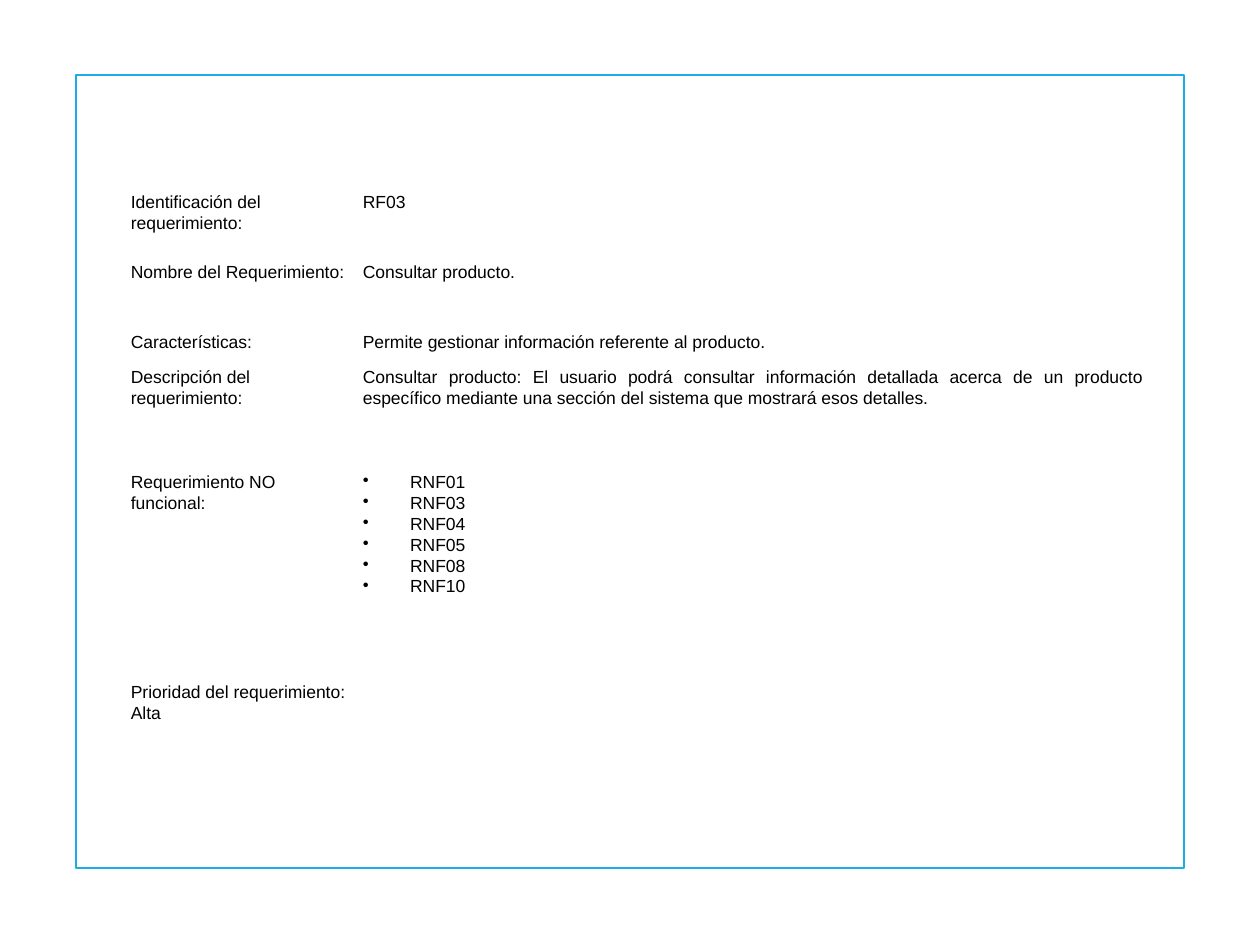
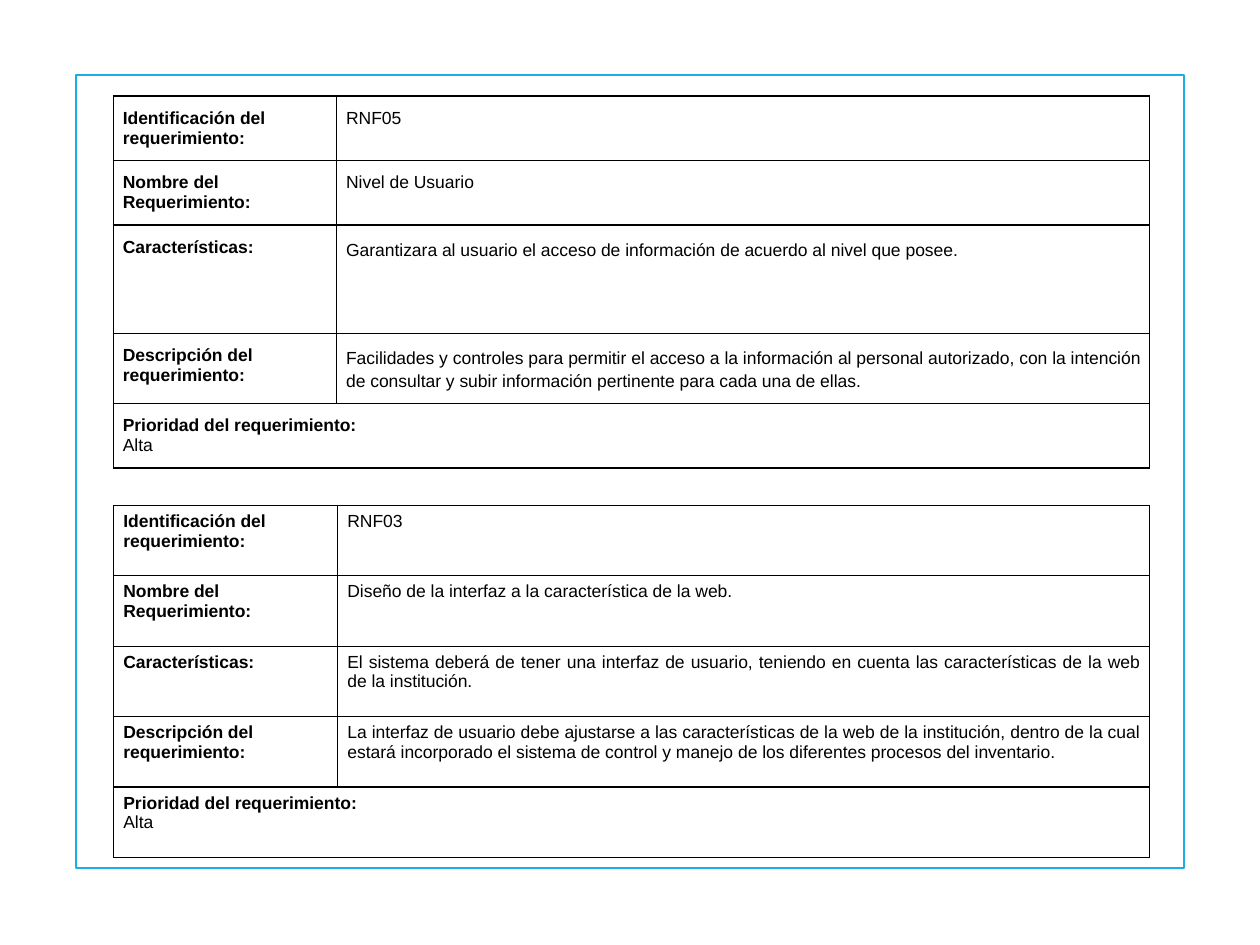
from dataclasses import dataclass

from lxml import etree
from pptx import Presentation
from pptx.dml.color import RGBColor
from pptx.enum.shapes import MSO_SHAPE
from pptx.enum.text import PP_ALIGN
from pptx.oxml.ns import qn
from pptx.util import Pt

RECTANGLE = MSO_SHAPE.RECTANGLE
LEFT, JUSTIFY = PP_ALIGN.LEFT, PP_ALIGN.JUSTIFY
BLANK_LAYOUT = 6


@dataclass(frozen=True)
class Theme:
    font: str = "Arial"
    size: float = 10
    text: str = "000000"
    background: str = "FFFFFF"
    frame: str = "1CADE4"
    frame_width: float = 1.25
    bullet_indent: float = 27


@dataclass(frozen=True)
class SheetStyle:
    """Look of a requirement sheet; lengths in points."""
    inset_x: float
    inset_y: float
    border: float = 0
    bold_labels: bool = True
    spacing: float = 1.0
    prose_spacing: float = 1.0


THEME = Theme()
PLAIN = SheetStyle(5.4, 0, bold_labels=False, spacing=1.07, prose_spacing=1.07)
ROOMY = SheetStyle(5.4, 7.2, border=1, prose_spacing=1.15)
COMPACT = SheetStyle(5.7, 3.6, border=0.75)

ID = "Identificación del requerimiento:"
NAME = "Nombre del Requerimiento:"
FEATURES = "Características:"
DESCRIPTION = "Descripción del requerimiento:"
NON_FUNCTIONAL = "Requerimiento NO funcional:"
PRIORITY = "Prioridad del requerimiento:"
PROSE_LABELS = (FEATURES, DESCRIPTION)


def add_bullet(p):
    pPr = p._p.get_or_add_pPr()
    indent = Pt(THEME.bullet_indent)
    pPr.set("marL", str(indent))
    pPr.set("indent", str(-indent))
    etree.SubElement(pPr, qn("a:buChar"), char="•")


def write(tf, text, bold=False, align=LEFT, spacing=1.0, bullet=False):
    """Write one paragraph, using the empty first one when it is free."""
    p = tf.paragraphs[0] if not tf.text else tf.add_paragraph()
    p.alignment = align
    p.line_spacing = spacing
    if bullet:
        add_bullet(p)
    r = p.add_run()
    r.text = text
    r.font.name = THEME.font
    r.font.size = Pt(THEME.size)
    r.font.bold = bold
    r.font.color.rgb = RGBColor.from_string(THEME.text)


def set_borders(cell, width):
    """Draw all four sides, or none when width is 0."""
    tcPr = cell._tc.get_or_add_tcPr()
    for side in ("lnL", "lnR", "lnT", "lnB"):
        ln = etree.SubElement(tcPr, qn(f"a:{side}"), w=str(Pt(width)))
        if width:
            fill = etree.SubElement(ln, qn("a:solidFill"))
            etree.SubElement(fill, qn("a:srgbClr"), val=THEME.text)
        else:
            etree.SubElement(ln, qn("a:noFill"))


def format_cell(cell, style):
    set_borders(cell, style.border)
    cell.fill.background()
    cell.margin_left = cell.margin_right = Pt(style.inset_x)
    cell.margin_top = cell.margin_bottom = Pt(style.inset_y)


def add_sheet(slide, left, top, col_widths, row_heights, fields, priority, style):
    """Add a table of label and value rows, closed by a merged priority row."""
    shape = slide.shapes.add_table(
        len(row_heights), len(col_widths), Pt(left), Pt(top),
        Pt(sum(col_widths)), Pt(sum(row_heights)))
    table = shape.table
    table.first_row = table.horz_banding = False
    for column, width in zip(table.columns, col_widths):
        column.width = Pt(width)
    for row, height in zip(table.rows, row_heights):
        row.height = Pt(height)
    for cell in table.iter_cells():
        format_cell(cell, style)

    for i, (label, value) in enumerate(fields):
        write(table.cell(i, 0).text_frame, label, bold=style.bold_labels,
              spacing=style.spacing)
        tf = table.cell(i, 1).text_frame
        if isinstance(value, list):
            for item in value:
                write(tf, item, spacing=style.spacing, bullet=True)
        elif label in PROSE_LABELS:
            write(tf, value, align=JUSTIFY, spacing=style.prose_spacing)
        else:
            write(tf, value, spacing=style.spacing)

    last = len(fields)
    table.cell(last, 0).merge(table.cell(last, 1))
    tf = table.cell(last, 0).text_frame
    write(tf, PRIORITY, bold=style.bold_labels, spacing=style.spacing)
    write(tf, priority, spacing=style.spacing)


def add_framed_slide(prs):
    slide = prs.slides.add_slide(prs.slide_layouts[BLANK_LAYOUT])
    fill = slide.background.fill
    fill.solid()
    fill.fore_color.rgb = RGBColor.from_string(THEME.background)
    sp = slide.shapes.add_shape(RECTANGLE, Pt(43.6), Pt(42.8), Pt(633), Pt(453.2))
    sp.shadow.inherit = False
    sp.fill.background()
    sp.line.color.rgb = RGBColor.from_string(THEME.frame)
    sp.line.width = Pt(THEME.frame_width)
    return slide


def add_functional_slide(prs):
    slide = add_framed_slide(prs)
    fields = [
        (ID, "RF03"),
        (NAME, "Consultar producto."),
        (FEATURES, "Permite gestionar información referente al producto."),
        (DESCRIPTION, "Consultar producto: El usuario podrá consultar información "
                      "detallada acerca de un producto específico mediante una "
                      "sección del sistema que mostrará esos detalles."),
        (NON_FUNCTIONAL, ["RNF01", "RNF03", "RNF04", "RNF05", "RNF08", "RNF10"]),
    ]
    add_sheet(slide, 69.4, 109.4, (132.6, 456), (40, 40, 20, 60, 120, 40),
              fields, "Alta", PLAIN)


def add_non_functional_slide(prs):
    slide = add_framed_slide(prs)
    user_level = [
        (ID, "RNF05"),
        (NAME, "Nivel de Usuario"),
        (FEATURES, "Garantizara al usuario el acceso de información de acuerdo "
                   "al nivel que posee."),
        (DESCRIPTION, "Facilidades y controles para permitir el acceso a la "
                      "información al personal autorizado, con la intención de "
                      "consultar y subir información pertinente para cada una "
                      "de ellas."),
    ]
    add_sheet(slide, 64.8, 54.9, (127.6, 464.4), (36.6, 36.6, 62, 40, 36.6),
              user_level, "Alta", ROOMY)
    web_design = [
        (ID, "RNF03"),
        (NAME, "Diseño de la interfaz a la característica de la web."),
        (FEATURES, "El sistema deberá de tener una interfaz de usuario, teniendo "
                   "en cuenta las características de la web de la institución."),
        (DESCRIPTION, "La interfaz de usuario debe ajustarse a las características "
                      "de la web de la institución, dentro de la cual estará "
                      "incorporado el sistema de control y manejo de los diferentes "
                      "procesos del inventario."),
    ]
    add_sheet(slide, 64.8, 288.8, (128, 464), [40.25] * 5,
              web_design, "Alta", COMPACT)


def main():
    prs = Presentation()
    prs.slide_width, prs.slide_height = Pt(720), Pt(540)
    add_functional_slide(prs)
    add_non_functional_slide(prs)
    prs.save("out.pptx")


if __name__ == "__main__":
    main()
